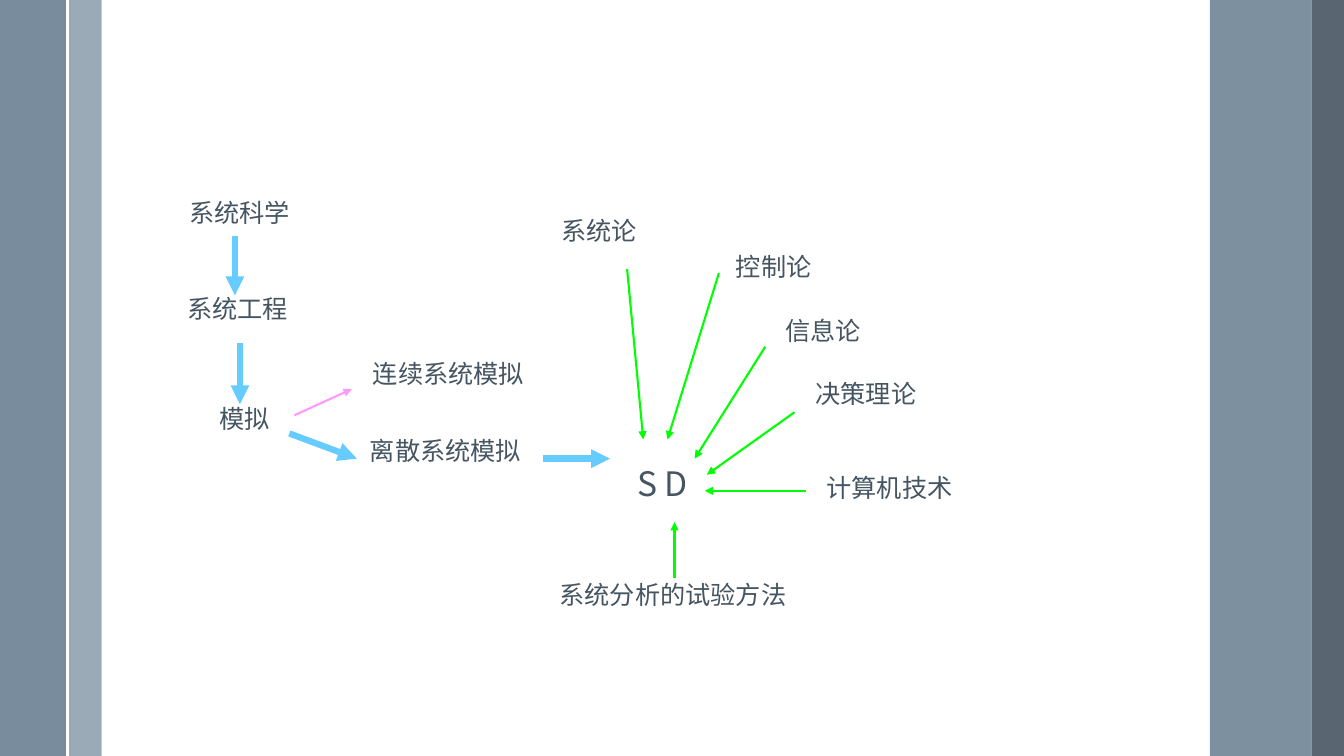
from dataclasses import dataclass

from lxml.etree import SubElement as Sub
from pptx import Presentation
from pptx.dml.color import RGBColor as Rgb
from pptx.enum.shapes import MSO_CONNECTOR as Conn, MSO_SHAPE as Kind
from pptx.enum.text import MSO_AUTO_SIZE as Fit
from pptx.oxml.ns import qn
from pptx.slide import Slide
from pptx.util import Inches, Length, Pt

Spot = tuple[float, float]


@dataclass(frozen=True)
class Theme:
    font: str = "Noto Sans CJK SC"
    ink: str = "465562"
    pale: str = "9BAAB7"
    slate: str = "6A8093"
    dark: str = "475562"
    white: str = "FFFFFF"
    blue: str = "66CCFF"
    pink: str = "FF99FF"
    green: str = "00FF00"
    body: int = 18
    big: int = 24
    thin: float = 1.5
    thick: float = 4.5


@dataclass(frozen=True)
class Bar:
    col: float
    wide: float
    color: str
    alpha: int = 100


@dataclass(frozen=True)
class Label:
    text: str
    col: float
    row: float
    wide: float
    tall: float = 4
    size: int = Theme.body


@dataclass(frozen=True)
class Link:
    start: Spot
    end: Spot
    color: str = Theme.green
    width: float = Theme.thin
    arrow: bool = True


LOOK = Theme()
# The grid has ten columns and ten rows to the inch
COLS, ROWS = 133.3, 75


def cell(count: float) -> Length:
    return Inches(count / 10)


# Side bands
BARS = [
    Bar(6.8, 3.3, LOOK.pale),
    Bar(0, 6.7, LOOK.slate, 90),
    Bar(120, 10.1, LOOK.slate, 87),
    Bar(130.1, 3.2, LOOK.dark, 90),
]
RULE = Link((6.7, 0), (6.7, ROWS), LOOK.white, arrow=False)

# Path from system science to simulation, then the theories around SD
LABELS = [
    Label("系统科学", 17.8, 19.4, 13),
    Label("系统工程", 17.6, 28.9, 12.3),
    Label("模拟", 20.8, 39.9, 10),
    Label("连续系统模拟", 36, 35.4, 18.8),
    Label("离散系统模拟", 35.7, 43, 17.8),
    Label("系统论", 54.7, 21.2, 11.5),
    Label("控制论", 72, 24.8, 18.1),
    Label("信息论", 76.9, 31.1, 18.1),
    Label("决策理论", 79.9, 37.4, 13.3),
    Label("计算机技术", 81, 46.7, 22.4),
    Label("系统分析的试验方法", 54.5, 57.3, 26.6),
    Label("S D", 62.2, 45.9, 7.7, 5, LOOK.big),
]

STEPS = [
    ((23.3, 23.4), (23.3, 29.3)),
    ((23.8, 34), (23.8, 40.1)),
    ((28.7, 43), (35.4, 45.5)),
    ((53.9, 45.5), (60.5, 45.5)),
]
ROOTS = [
    ((62.2, 26.7), (63.8, 43.6)),
    ((71.3, 27.1), (66.2, 43.6)),
    ((75.9, 34.4), (68.9, 45.5)),
    ((78.8, 40.9), (70.1, 47.1)),
    ((79.9, 48.7), (69.9, 48.7)),
    ((66.9, 57.3), (66.9, 51.8)),
]
LINKS = [
    *(Link(a, b, LOOK.blue, LOOK.thick) for a, b in STEPS),
    Link((29.2, 41.2), (34.9, 38.6), LOOK.pink),
    *(Link(a, b) for a, b in ROOTS),
]


def draw_bar(slide: Slide, bar: Bar) -> None:
    shape = slide.shapes.add_shape(
        Kind.RECTANGLE, cell(bar.col), 0, cell(bar.wide), cell(ROWS))
    shape.shadow.inherit = False
    shape.line.fill.background()
    shape.fill.solid()
    shape.fill.fore_color.rgb = Rgb.from_string(bar.color)
    if bar.alpha < 100:
        tint = shape._element.spPr.find(qn("a:solidFill"))[0]
        Sub(tint, qn("a:alpha"), val=str(bar.alpha * 1000))


def draw_link(slide: Slide, link: Link) -> None:
    ends = [cell(n) for n in (*link.start, *link.end)]
    line = slide.shapes.add_connector(Conn.STRAIGHT, *ends)
    line.line.color.rgb = Rgb.from_string(link.color)
    line.line.width = Pt(link.width)
    props = line._element.spPr
    if link.arrow:
        Sub(props.find(qn("a:ln")), qn("a:tailEnd"), type="triangle")
    Sub(props, qn("a:effectLst"))


def draw_label(slide: Slide, label: Label) -> None:
    box = slide.shapes.add_textbox(
        cell(label.col), cell(label.row), cell(label.wide), cell(label.tall))
    frame = box.text_frame
    frame.word_wrap = True
    frame.auto_size = Fit.SHAPE_TO_FIT_TEXT
    para = frame.paragraphs[0]
    para.text = label.text
    para.line_spacing = 0.9
    font = para.font
    font.name = LOOK.font
    font.size = Pt(label.size)
    font.color.rgb = Rgb.from_string(LOOK.ink)
    # East Asian glyphs take their own typeface entry
    props = para._p.pPr.find(qn("a:defRPr"))
    Sub(props, qn("a:ea"), typeface=LOOK.font)


def main() -> None:
    deck = Presentation()
    deck.slide_width, deck.slide_height = cell(COLS), cell(ROWS)
    slide = deck.slides.add_slide(deck.slide_layouts[6])
    for bar in BARS:
        draw_bar(slide, bar)
    for link in (RULE, *LINKS):
        draw_link(slide, link)
    for label in LABELS:
        draw_label(slide, label)
    deck.save("out.pptx")


if __name__ == "__main__":
    main()
